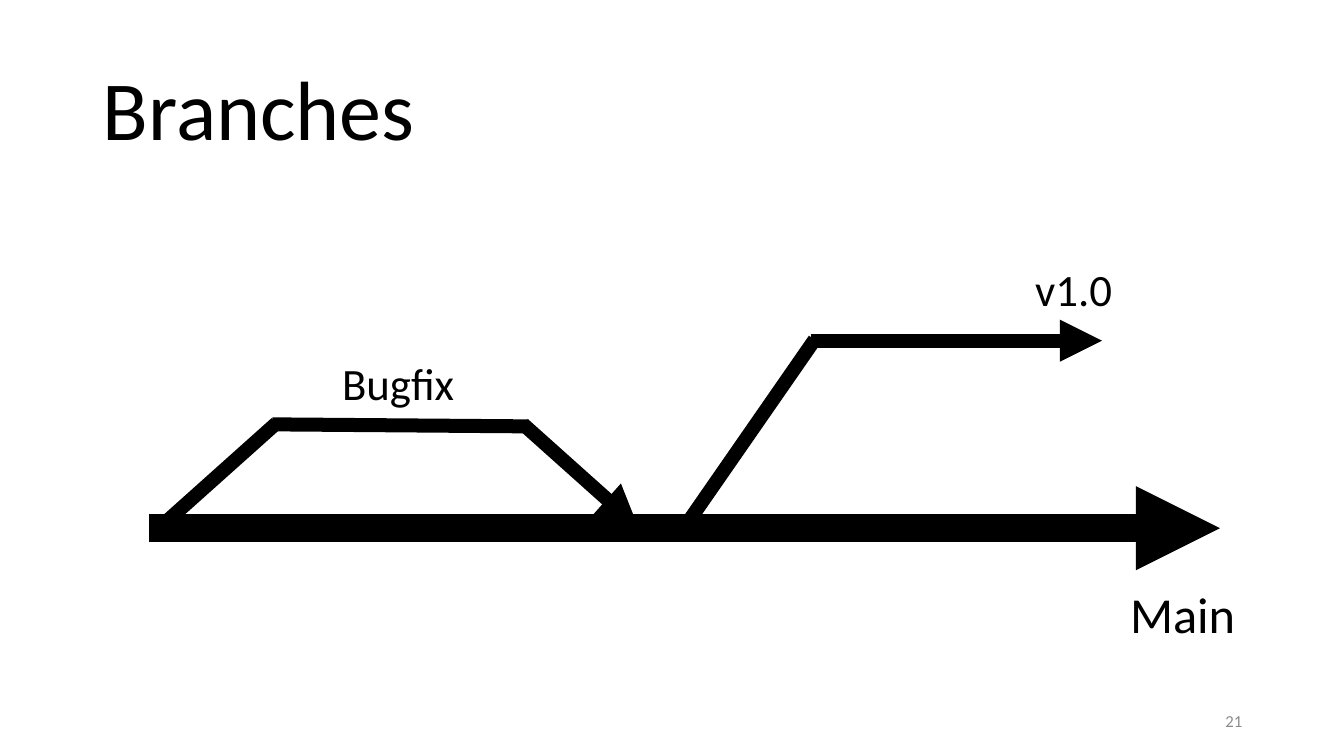
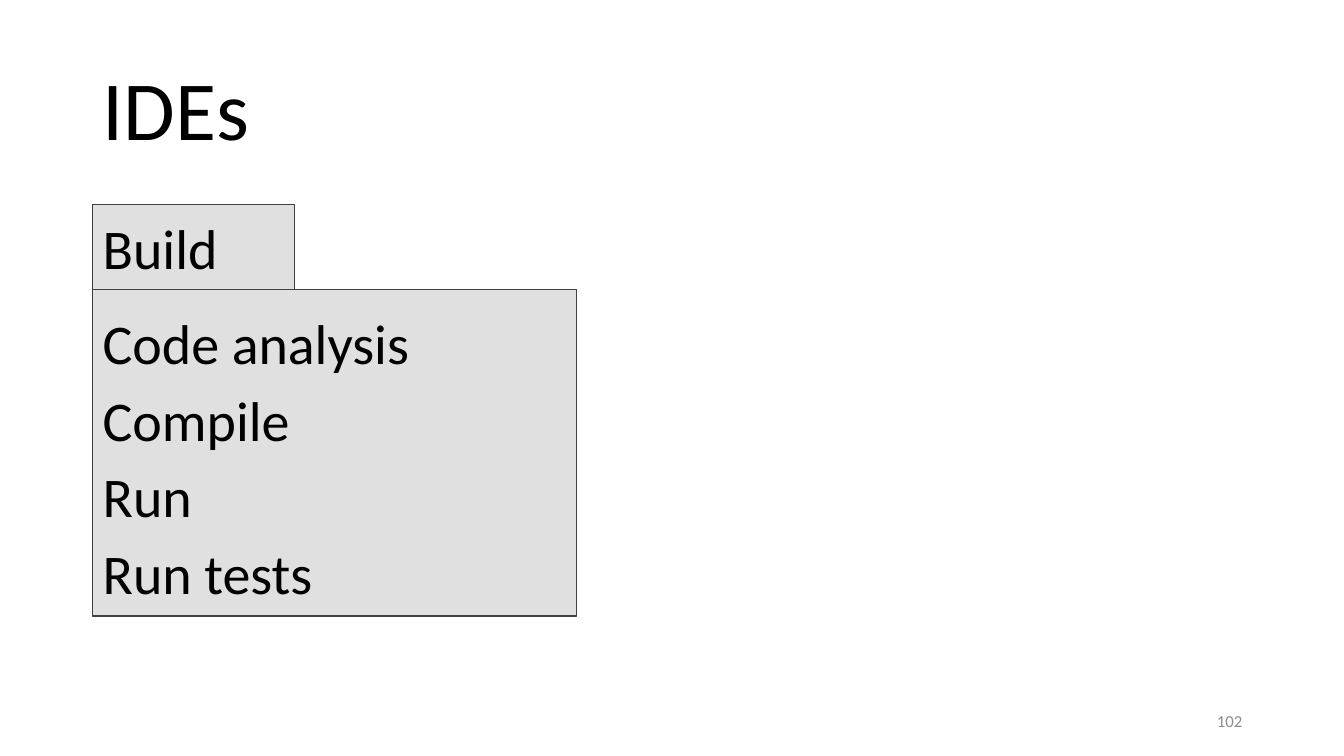
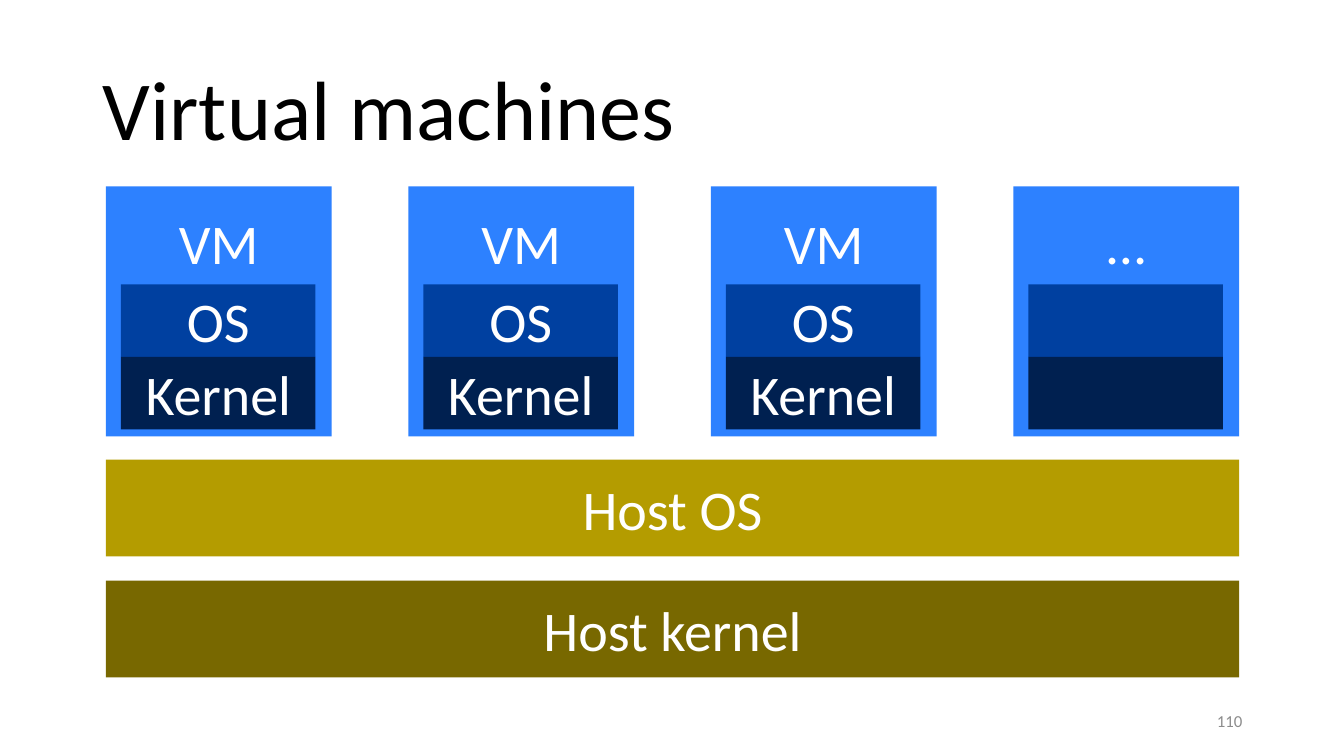
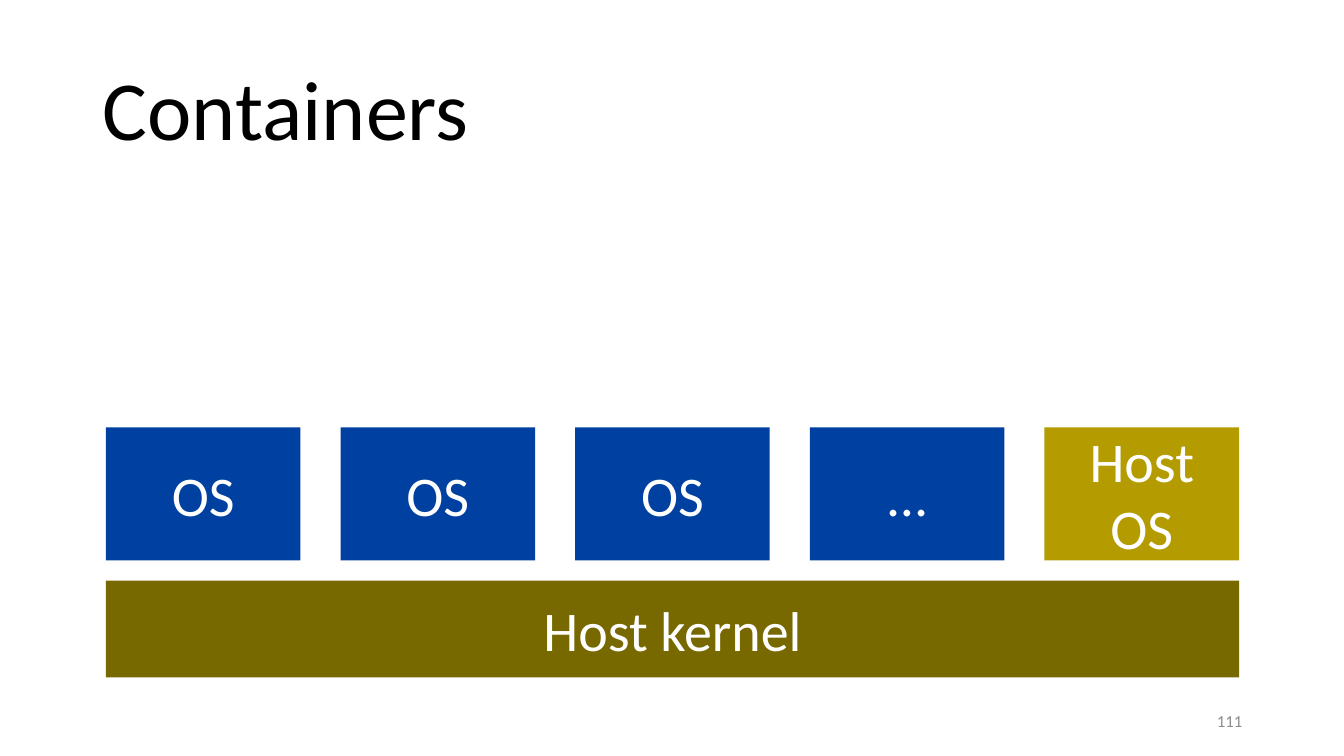
from pptx import Presentation
from pptx.dml.color import RGBColor
from pptx.enum.shapes import MSO_CONNECTOR as Conn, MSO_SHAPE as Shape
from pptx.enum.text import MSO_ANCHOR as Anchor, PP_ALIGN as Align
from pptx.oxml.ns import qn
from pptx.util import Inches, Pt
from lxml.etree import SubElement

FONT = "Calibri"
BLACK = RGBColor(0x00, 0x00, 0x00)
WHITE = RGBColor(0xFF, 0xFF, 0xFF)
GRAY = RGBColor(0x8C, 0x8C, 0x8C)
PALE = RGBColor(0xE0, 0xE0, 0xE0)
DARK = RGBColor(0x40, 0x40, 0x40)
SKY = RGBColor(0x2D, 0x81, 0xFF)
BLUE = RGBColor(0x00, 0x40, 0xA0)
NAVY = RGBColor(0x00, 0x20, 0x50)
GOLD = RGBColor(0xB4, 0x9C, 0x00)
OLIVE = RGBColor(0x78, 0x68, 0x00)

LEFT, WIDE = 1.05, 11.24
CELL = 1.93


def write(frame, text, size, color, align=Align.LEFT, space=None):
    frame.word_wrap = True
    frame.text = text
    for para in frame.paragraphs:
        para.alignment = align
        para.line_spacing = space
        font = para.font
        font.name, font.size = FONT, Pt(size)
        font.color.rgb = color


def place(shape, x, y, w, h):
    shape.left, shape.top = Inches(x), Inches(y)
    shape.width, shape.height = Inches(w), Inches(h)


def label(slide, text, x, y, w, h, size, color=BLACK, align=Align.CENTER):
    box = slide.shapes.add_textbox(Inches(x), Inches(y), Inches(w), Inches(h))
    write(box.text_frame, text, size, color, align)
    return box


def start(deck, title, number):
    slide = deck.slides.add_slide(deck.slide_layouts[5])
    head = slide.shapes.title
    place(head, 0.92, 0.4, 11.5, 1.45)
    write(head.text_frame, title, 60, BLACK, space=0.9)
    head.text_frame.vertical_anchor = Anchor.MIDDLE
    page = label(slide, str(number), 9.42, 6.95, 3, 0.4, 12, GRAY, Align.RIGHT)
    page.text_frame.vertical_anchor = Anchor.MIDDLE
    return slide


def block(shapes, x, y, w, h, fill, edge=None):
    rect = shapes.add_shape(Shape.RECTANGLE, Inches(x), Inches(y), Inches(w), Inches(h))
    rect.shadow.inherit = False
    rect.fill.solid()
    rect.fill.fore_color.rgb = fill
    if edge is None:
        rect.line.fill.background()
    else:
        rect.line.color.rgb = edge
        rect.line.width = Pt(1)
    rect.text_frame.vertical_anchor = Anchor.MIDDLE
    return rect


def tile(shapes, text, x, y, w, h, fill):
    rect = block(shapes, x, y, w, h, fill)
    if text:
        write(rect.text_frame, text, 40, WHITE, Align.CENTER)
    return rect


def panel(slide, text, y, w, h, space=None):
    rect = block(slide.shapes, 0.92, y, w, h, PALE, DARK)
    write(rect.text_frame, text, 40, BLACK, space=space)


def stroke(slide, x1, y1, x2, y2, width=10, arrow=False):
    line = slide.shapes.add_connector(
        Conn.STRAIGHT, Inches(x1), Inches(y1), Inches(x2), Inches(y2))
    line.line.color.rgb = BLACK
    line.line.width = Pt(width)
    if arrow:
        SubElement(line.line._get_or_add_ln(), qn("a:tailEnd"), type="triangle")
    SubElement(line._element.spPr, qn("a:effectLst"))


def machine(slide, x, name, system, kernel):
    group = slide.shapes.add_group_shape().shapes
    frame = tile(group, name, x, 1.85, 2.24, 2.48, SKY).text_frame
    frame.vertical_anchor = Anchor.TOP
    frame.margin_top = Inches(0.22)
    tile(group, system, x + 0.15, 2.82, CELL, 0.72, BLUE)
    tile(group, kernel, x + 0.15, 3.54, CELL, 0.72, NAVY)


def band(slide, text, y, fill):
    tile(slide.shapes, text, LEFT, y, WIDE, 0.96, fill)


def spread(count, width):
    step = (WIDE - width) / (count - 1)
    return [LEFT + i * step for i in range(count)]


def branches(deck):
    slide = start(deck, "Branches", 21)
    stroke(slide, 1.48, 5.24, 12.1, 5.24, 20, True)
    stroke(slide, 2.7, 4.21, 5.24, 4.23)
    stroke(slide, 8.04, 3.38, 10.93, 3.38, arrow=True)
    stroke(slide, 5.19, 4.21, 6.33, 5.23, arrow=True)
    stroke(slide, 2.74, 4.2, 1.6, 5.22)
    stroke(slide, 8.08, 3.37, 6.79, 5.23)
    label(slide, "Main", 10.65, 5.74, 2.16, 0.71, 36)
    label(slide, "v1.0", 9.57, 2.55, 2.16, 0.64, 32)
    label(slide, "Bugfix", 2.87, 3.48, 2.16, 0.64, 32)


def ides(deck):
    slide = start(deck, "IDEs", 102)
    panel(slide, "Build", 2.03, 2, 0.84)
    panel(slide, "Code analysis\nCompile\nRun\nRun tests", 2.87, 4.8, 3.24, 1.14)


def virtual(deck):
    slide = start(deck, "Virtual machines", 110)
    band(slide, "Host OS", 4.56, GOLD)
    band(slide, "Host kernel", 5.76, OLIVE)
    names = [("VM", "OS", "Kernel")] * 3 + [("…", "", "")]
    for x, texts in zip(spread(len(names), 2.24), names):
        machine(slide, x, *texts)


def containers(deck):
    slide = start(deck, "Containers", 111)
    band(slide, "Host kernel", 5.76, OLIVE)
    cells = [("OS", BLUE)] * 3 + [("…", BLUE), ("Host OS", GOLD)]
    for x, (text, fill) in zip(spread(len(cells), CELL), cells):
        tile(slide.shapes, text, x, 4.24, CELL, 1.32, fill)


def main():
    deck = Presentation()
    deck.slide_width, deck.slide_height = Inches(13.33), Inches(7.5)
    branches(deck)
    ides(deck)
    virtual(deck)
    containers(deck)
    deck.save("out.pptx")


if __name__ == "__main__":
    main()
